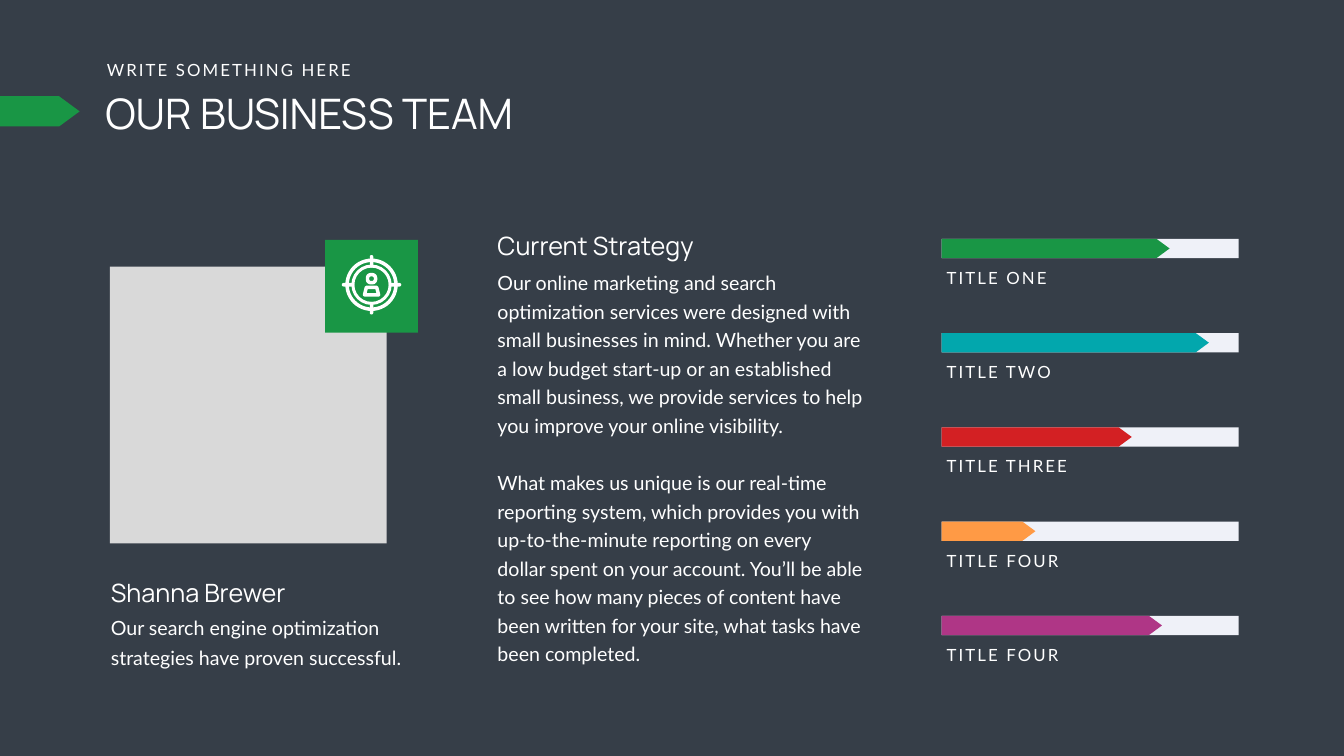
from pptx import Presentation
from pptx.dml.color import RGBColor
from pptx.enum import shapes, text
from pptx.util import Inches, Pt

COLORS = {
    "back": "363E48", "white": "FFFFFF", "photo": "D9D9D9", "track": "EFF1F8",
    "green": "199645", "teal": "02A7AD", "red": "D32023",
    "orange": "FF9A45", "purple": "AF3686",
}
HEAD, BODY = "Manrope", "Lato"
SHAPE = shapes.MSO_SHAPE
STRATEGY = [
    "Our online marketing and search optimization services were designed with "
    "small businesses in mind. Whether you are a low budget start-up or an "
    "established small business, we provide services to help you improve your "
    "online visibility.",
    "What makes us unique is our real-time reporting system, which provides you "
    "with up-to-the-minute reporting on every dollar spent on your account. "
    "You’ll be able to see how many pieces of content have been written for "
    "your site, what tasks have been completed.",
]
SKILLS = [
    ("TITLE ONE", "green", 4.52, 2.25),
    ("TITLE TWO", "teal", 5.3, 2.35),
    ("TITLE THREE", "red", 3.77, 2.67),
    ("TITLE FOUR", "orange", 1.86, 2.49),
    ("TITLE FOUR", "purple", 4.37, 2.49),
]


def rgb(name):
    return RGBColor.from_string(COLORS[name])


def add_block(s, kind, x, y, w, h, color, adj=None):
    sp = s.shapes.add_shape(kind, Inches(x), Inches(y), Inches(w), Inches(h))
    sp.shadow.inherit = False
    sp.fill.solid()
    sp.fill.fore_color.rgb = rgb(color)
    sp.line.fill.background()
    if adj is not None:
        sp.adjustments[0] = adj
    return sp


def add_outline(s, kind, x, y, w, h, adj):
    sp = add_block(s, kind, x, y, w, h, "white", adj)
    sp.fill.background()
    sp.line.color.rgb = rgb("white")
    sp.line.width = Pt(5)


def add_text(s, x, y, w, h, paragraphs, size, font, wrap=False, leading=None, spacing=None):
    tf = s.shapes.add_textbox(Inches(x), Inches(y), Inches(w), Inches(h)).text_frame
    tf.word_wrap = wrap
    tf.auto_size = text.MSO_AUTO_SIZE.SHAPE_TO_FIT_TEXT
    for i, words in enumerate(paragraphs):
        p = tf.paragraphs[0] if i == 0 else tf.add_paragraph()
        if leading:
            p.line_spacing = Pt(leading)
            if i:
                p.space_before = Pt(leading)
        r = p.add_run()
        r.text = words
        r.font.size = Pt(size)
        r.font.name = font
        r.font.color.rgb = rgb("white")
        if spacing:
            r.font._element.set("spc", str(spacing * 100))


def add_label(s, x, y, w, words):
    add_text(s, x, y, w, 0.5, [words], 24, BODY, spacing=3)


def add_header(s, x, y):
    add_block(s, SHAPE.PENTAGON, 0, y + 0.78, 1.58, 0.6, "green", 0.68)
    add_label(s, x + 0.03, y, 5.14, "WRITE SOMETHING HERE")
    add_text(s, x, y + 0.55, 10.43, 1.11, ["OUR BUSINESS TEAM"], 60, HEAD, wrap=True)


def add_target_icon(s, x, y, side):
    add_block(s, SHAPE.RECTANGLE, x, y, side, side, "green")
    cx, cy = x + side / 2, y + 0.89
    for radius, band in ((0.52, 0.07), (0.4, 0.06)):
        add_block(s, SHAPE.DONUT, cx - radius, cy - radius, 2 * radius, 2 * radius,
                  "white", band / (2 * radius))
    near, far, thick = 0.34, 0.59, 0.07
    for start in (-far, near):
        add_block(s, SHAPE.ROUNDED_RECTANGLE, cx + start, cy - thick / 2,
                  far - near, thick, "white", 0.5)
        add_block(s, SHAPE.ROUNDED_RECTANGLE, cx - thick / 2, cy + start,
                  thick, far - near, "white", 0.5)
    add_outline(s, SHAPE.ROUNDED_RECTANGLE, cx - 0.08, cy - 0.2, 0.16, 0.16, 0.4)
    add_outline(s, SHAPE.TRAPEZOID, cx - 0.14, cy + 0.05, 0.28, 0.15, 0.25)


def add_member(s, x, y):
    add_block(s, SHAPE.RECTANGLE, x, y, 5.49, 5.49, "photo")
    add_target_icon(s, x + 4.27, y - 0.53, 1.84)
    add_text(s, x - 0.08, y + 6.11, 4.05, 0.71, ["Shanna Brewer"], 36, HEAD)
    add_text(s, x - 0.08, y + 6.75, 6.34, 1.25,
             ["Our search engine optimization strategies have proven successful."],
             28, BODY, wrap=True, leading=43)


def add_strategy(s, x, y, w):
    add_text(s, x, y, 4.43, 0.71, ["Current Strategy"], 36, HEAD)
    add_text(s, x, y + 0.7, w, 8.09, STRATEGY, 28, BODY, wrap=True, leading=40.8)


def add_skills(s, x, y, w, pitch):
    for i, (title, color, length, label_width) in enumerate(SKILLS):
        top = y + i * pitch
        add_block(s, SHAPE.RECTANGLE, x, top, w, 0.38, "track")
        add_block(s, SHAPE.PENTAGON, x, top, length, 0.38, color, 0.68)
        add_label(s, x, top + 0.52, label_width, title)


def main():
    prs = Presentation()
    prs.slide_width, prs.slide_height = Inches(26.66), Inches(15)
    s = prs.slides.add_slide(prs.slide_layouts[6])
    s.background.fill.solid()
    s.background.fill.fore_color.rgb = rgb("back")
    add_header(s, 1.99, 1.13)
    add_member(s, 2.18, 5.29)
    add_strategy(s, 9.77, 4.53, 7.44)
    add_skills(s, 18.68, 4.74, 5.89, 1.87)
    prs.save("out.pptx")


if __name__ == "__main__":
    main()
